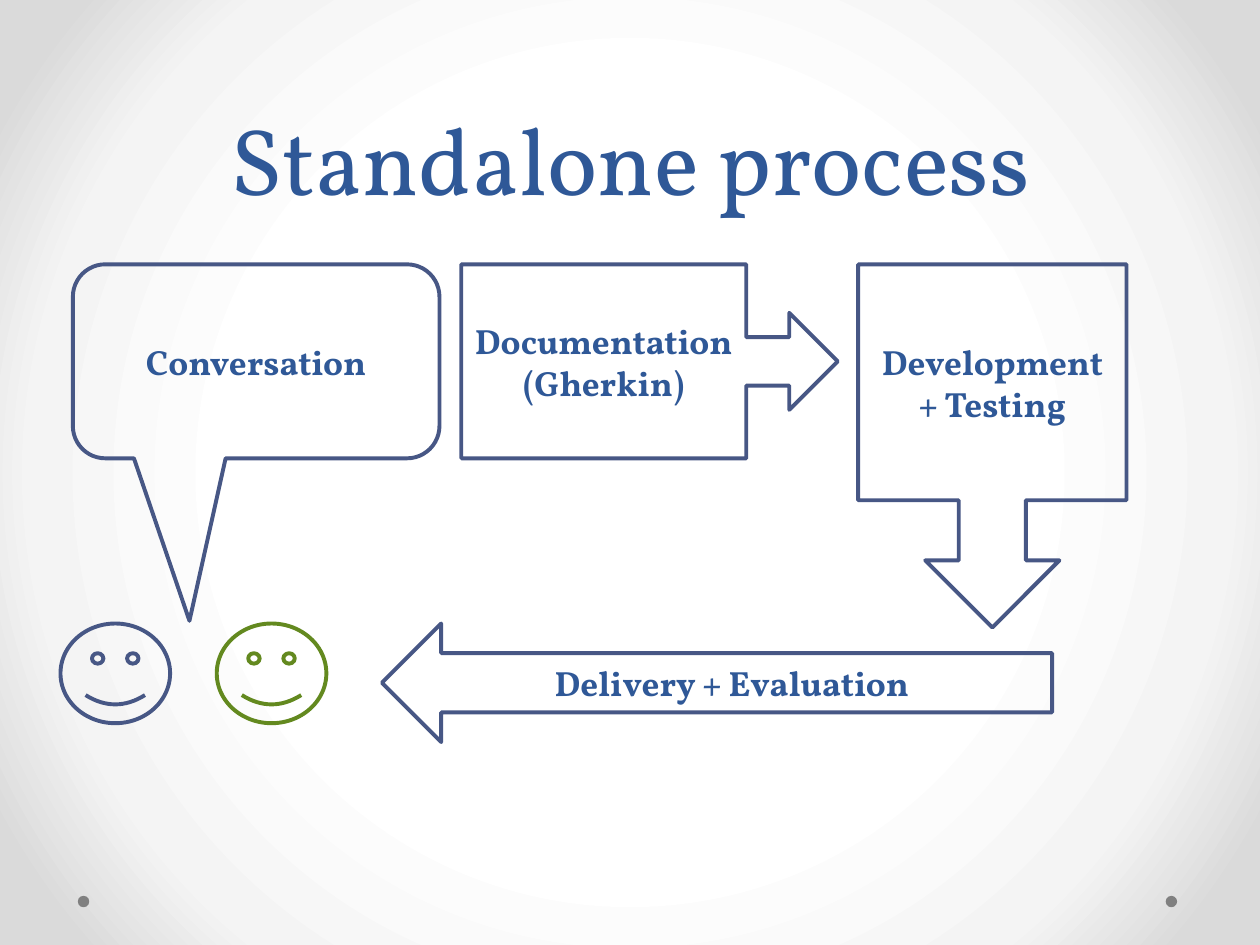
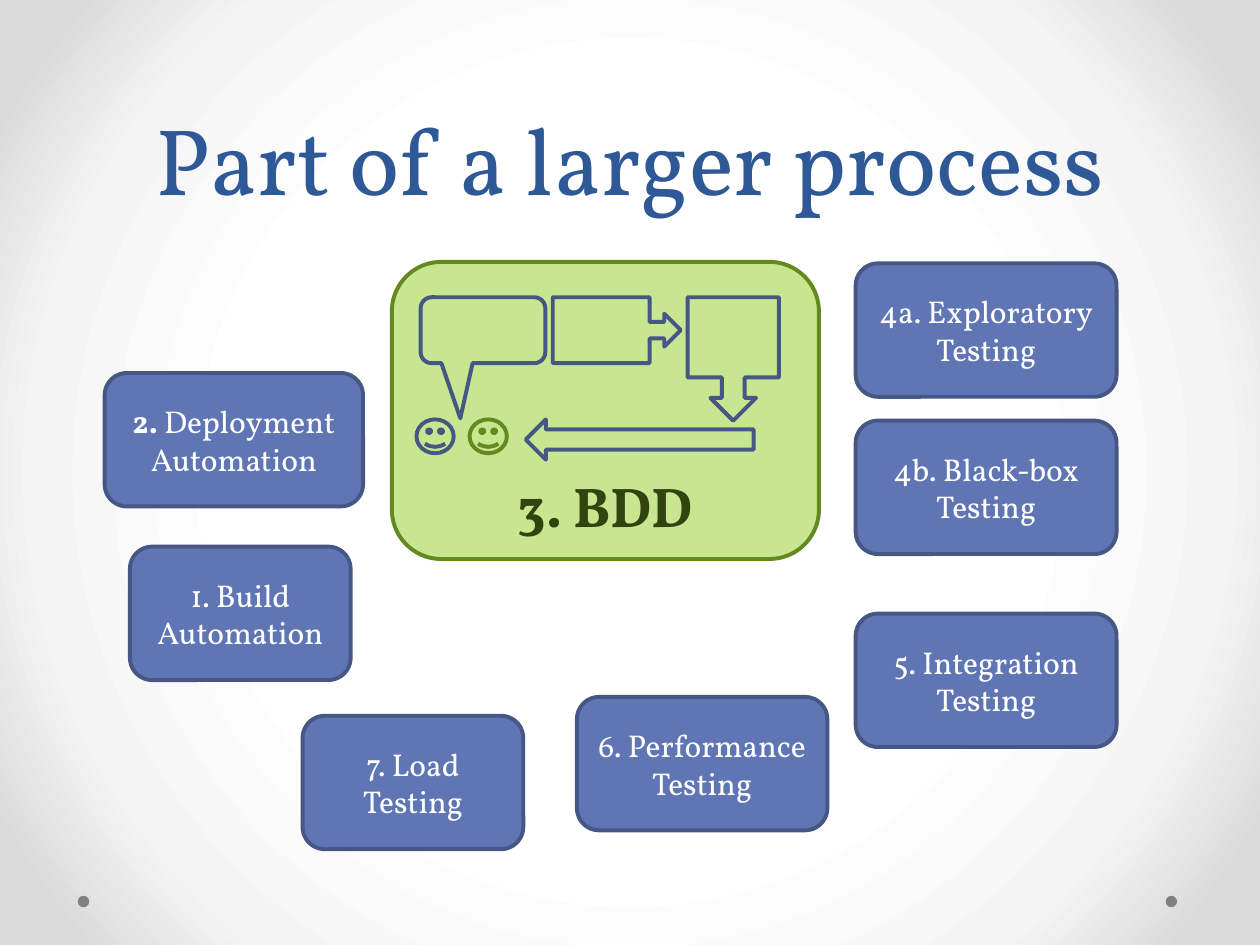
"""Build two slides that show a standalone process and its place in a larger one."""
from pptx import Presentation
from pptx.dml.color import RGBColor
from pptx.enum.shapes import MSO_SHAPE
from pptx.enum.text import MSO_ANCHOR, MSO_AUTO_SIZE, PP_ALIGN
from pptx.oxml import parse_xml
from pptx.util import Cm, Pt

ELLIPSE = MSO_SHAPE.OVAL
SMILEY = MSO_SHAPE.SMILEY_FACE
ROUND_BOX = MSO_SHAPE.ROUNDED_RECTANGLE
SPEECH = MSO_SHAPE.ROUNDED_RECTANGULAR_CALLOUT
RIGHT_CALLOUT = MSO_SHAPE.RIGHT_ARROW_CALLOUT
DOWN_CALLOUT = MSO_SHAPE.DOWN_ARROW_CALLOUT
LEFT_ARROW = MSO_SHAPE.LEFT_ARROW
MIDDLE = MSO_ANCHOR.MIDDLE
BOTTOM = MSO_ANCHOR.BOTTOM
CENTER = PP_ALIGN.CENTER
NO_AUTOFIT = MSO_AUTO_SIZE.NONE

BLUE_TEXT = RGBColor(0x2F, 0x58, 0x97)
BLUE_LINE = RGBColor(0x47, 0x57, 0x85)
BLUE_FILL = RGBColor(0x60, 0x76, 0xB4)
GREEN_TEXT = RGBColor(0x31, 0x44, 0x10)
GREEN_LINE = RGBColor(0x63, 0x89, 0x1F)
GREEN_FILL = RGBColor(0xC7, 0xE6, 0x8F)
GRAY = RGBColor(0x80, 0x80, 0x80)
WHITE = RGBColor(0xFF, 0xFF, 0xFF)
BACKDROP = [(50, WHITE), (76, RGBColor(0xF4, 0xF4, 0xF4)), (92, RGBColor(0xDA, 0xDA, 0xDA))]

FONT = "Vollkorn"
TITLE_ONLY = 5
DRAWING_NS = "http://schemas.openxmlformats.org/drawingml/2006/main"

FACES = [(4.37, GREEN_LINE), (1.22, BLUE_LINE)]
STEPS = [
    (SPEECH, (1.47, 5.33, 7.39, 3.91), (-0.182, 1.338, 0.167), ["Conversation"]),
    (RIGHT_CALLOUT, (9.3, 5.33, 7.59, 3.91), (0.25, 0.25, 0.25, 0.757),
     ["Documentation", "(Gherkin)"]),
    (DOWN_CALLOUT, (17.3, 5.33, 5.41, 7.32), (), ["Development", "+ Testing"]),
    (LEFT_ARROW, (7.7, 12.57, 13.51, 2.39), (), ["Delivery + Evaluation"]),
]
STAGES = [
    (2.11, 7.52, 5.21, "2. ", ["Deployment", "Automation"]),
    (2.62, 11.02, 4.45, "", ["1. Build", "Automation"]),
    (17.25, 12.37, 5.26, "", ["5. Integration", "Testing"]),
    (11.63, 14.05, 5.05, "", ["6. Performance", "Testing"]),
    (6.1, 14.43, 4.45, "", ["7. Load", "Testing"]),
    (17.25, 8.48, 5.26, "", ["4b. Black-box", "Testing"]),
    (17.25, 5.31, 5.26, "", ["4a. Exploratory", "Testing"]),
]
STAGE_HEIGHT = 2.69


def write_text(shape, lines, size=20, color=BLUE_TEXT, bold=False, anchor=MIDDLE,
               spacing=None, bold_lead=""):
    """Write centred lines, with an optional bold start of the first line."""
    frame = shape.text_frame
    frame.word_wrap = True
    frame.auto_size = NO_AUTOFIT
    frame.vertical_anchor = anchor
    for index, line in enumerate(lines):
        paragraph = frame.add_paragraph() if index else frame.paragraphs[0]
        paragraph.alignment = CENTER
        paragraph.line_spacing = spacing
        pieces = [(line, bold)]
        if bold_lead and index == 0:
            pieces.insert(0, (bold_lead, True))
        for text, heavy in pieces:
            run = paragraph.add_run()
            run.text = text
            run.font.name = FONT
            run.font.size = Pt(size)
            run.font.bold = heavy
            run.font.color.rgb = color


class Deck:
    """Hold the shared style, the current slide and the shapes being filled."""

    def __init__(self):
        """Open a presentation and style its master."""
        self.presentation = Presentation()
        self.presentation.slide_width = Cm(25.4)
        self.presentation.slide_height = Cm(19.05)
        self.master = self.presentation.slide_master
        self.slide = None
        self.shapes = None
        self.paint_background()

    def paint_background(self):
        """Give the master a round gradient from the centre."""
        self.master.background.fill.solid()
        stops = "".join(
            f'<a:gs pos="{position * 1000}"><a:srgbClr val="{color}"/></a:gs>'
            for position, color in BACKDROP)
        gradient = parse_xml(
            f'<a:gradFill xmlns:a="{DRAWING_NS}" rotWithShape="1"><a:gsLst>{stops}</a:gsLst>'
            '<a:path path="circle"><a:fillToRect l="50000" t="50000" r="50000" b="50000"/>'
            '</a:path></a:gradFill>')
        solid = self.master.element.find(f".//{{{DRAWING_NS}}}solidFill")
        solid.getparent().replace(solid, gradient)

    def add_master_dots(self):
        """Put the two footer dots on the master."""
        for left in (23.5, 1.57):
            dot = self.add_shape(ELLIPSE, (left, 18.06, 0.23, 0.23), fill=GRAY, line=None)
            self.master.shapes.element.append(dot.element)

    def add_slide(self, title):
        """Start a slide with its title."""
        layout = self.presentation.slide_layouts[TITLE_ONLY]
        self.slide = self.presentation.slides.add_slide(layout)
        self.shapes = self.slide.shapes
        holder = self.shapes.title
        holder.left, holder.top = Cm(1.27), Cm(0)
        holder.width, holder.height = Cm(22.86), Cm(4.45)
        write_text(holder, [title], size=54, anchor=BOTTOM, spacing=Pt(58))

    def add_shape(self, kind, box, fill=None, line=BLUE_LINE, adjustments=()):
        """Draw a preset shape in a box given in centimetres."""
        shape = self.shapes.add_shape(kind, *[Cm(length) for length in box])
        shape.shadow.inherit = False
        for index, value in enumerate(adjustments):
            shape.adjustments[index] = value
        if fill is None:
            shape.fill.background()
        else:
            shape.fill.solid()
            shape.fill.fore_color.rgb = fill
        if line is None:
            shape.line.fill.background()
        else:
            shape.line.color.rgb = line
            shape.line.width = Pt(2.25)
        return shape

    def add_process(self, left=0, top=0, scale=1, labelled=True):
        """Draw the faces and the four steps, moved and scaled."""
        def place(box):
            x, y, width, height = [length * scale for length in box]
            return left + x, top + y, width, height

        for x, color in FACES:
            self.add_shape(SMILEY, place((x, 12.57, 2.21, 2.01)), line=color)
        for kind, box, adjustments, lines in STEPS:
            step = self.add_shape(kind, place(box), adjustments=adjustments)
            if labelled:
                write_text(step, lines, bold=True)

    def add_process_card(self):
        """Group the green card with a small process on it."""
        self.shapes = self.slide.shapes.add_group_shape().shapes
        card = self.add_shape(ROUND_BOX, (7.9, 5.28, 8.61, 5.99), GREEN_FILL, GREEN_LINE)
        write_text(card, ["3. BDD"], size=32, color=GREEN_TEXT, bold=True, anchor=BOTTOM)
        self.add_process(left=7.98, top=4.18, scale=0.34, labelled=False)
        self.shapes = self.slide.shapes

    def add_stage(self, left, top, width, lead, lines):
        """Draw one blue stage of the larger process."""
        stage = self.add_shape(ROUND_BOX, (left, top, width, STAGE_HEIGHT), BLUE_FILL)
        write_text(stage, lines, size=18, color=WHITE, bold_lead=lead)


def main():
    """Build and save both slides."""
    deck = Deck()
    deck.add_slide("Standalone process")
    deck.add_master_dots()
    deck.add_process()

    deck.add_slide("Part of a larger process")
    deck.add_process_card()
    for stage in STAGES:
        deck.add_stage(*stage)
    deck.presentation.save("out.pptx")


main()
